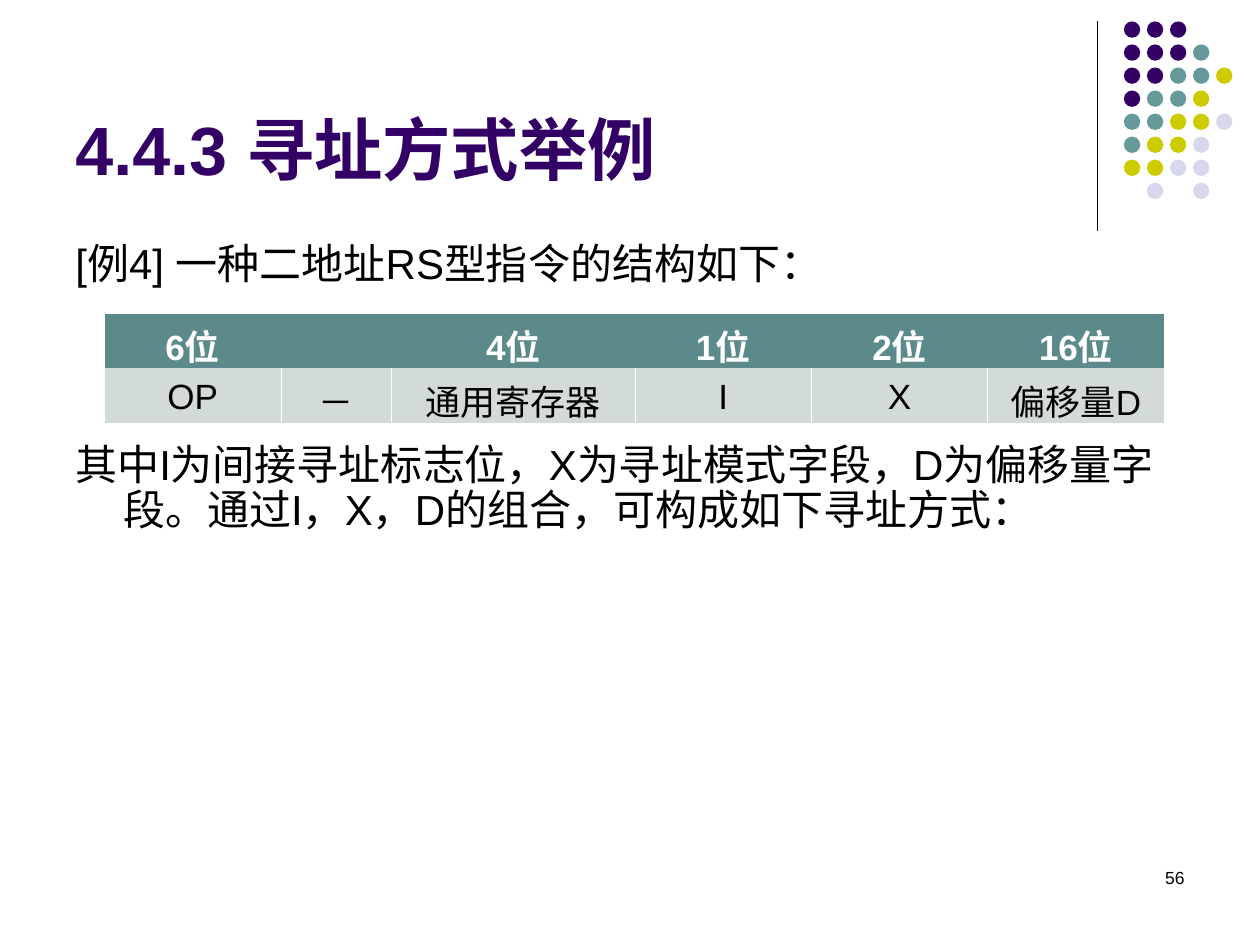
"""Build the slide on addressing mode examples."""
from lxml import etree
from pptx import Presentation, util as u
from pptx.dml.color import RGBColor
from pptx.enum import shapes, text
from pptx.oxml.ns import qn

PURPLE, TEAL, OLIVE, PALE = "330066", "669999", "CCCC00", "D8D8EC"
BLACK, WHITE = "000000", "FFFFFF"
DOT_COLOURS = {"P": PURPLE, "T": TEAL, "O": OLIVE, "L": PALE}
DOT_ROWS = ["PPP", "PPPT", "PPTTO", "PTTO", "TTOOL", "TOOL", "OOLL", " L L"]
PLAIN_TABLE = "{2D5ABB26-0587-4C30-8999-92F81FD0307C}"


def colour(value):
    return RGBColor.from_string(value)


class SlideBuilder:
    def __init__(self, page, font="Arial"):
        self.page = page
        self.font = font

    def style(self, para, size, ink, bold=False, align=None):
        para.alignment = align
        para.font.name = self.font
        para.font.size = u.Pt(size)
        para.font.bold = bold
        para.font.color.rgb = colour(ink)

    def text(self, lines, left, top, width, height, size, ink=BLACK, bold=False,
             align=None, anchor=text.MSO_ANCHOR.TOP):
        box = self.page.shapes.add_textbox(*map(u.Inches, (left, top, width, height)))
        frame = box.text_frame
        frame.word_wrap = True
        frame.vertical_anchor = anchor
        frame.text = "\n".join(lines)
        for para in frame.paragraphs:
            self.style(para, size, ink, bold, align)
        return frame.paragraphs

    def line(self, x1, y1, x2, y2, ink=BLACK, width=0.75):
        line = self.page.shapes.add_connector(
            shapes.MSO_CONNECTOR.STRAIGHT, *map(u.Inches, (x1, y1, x2, y2)))
        line.line.color.rgb = colour(ink)
        line.line.width = u.Pt(width)
        etree.SubElement(line._element.spPr, qn("a:effectLst"))

    def dot(self, left, top, size, fill):
        dot = self.page.shapes.add_shape(
            shapes.MSO_SHAPE.OVAL, *map(u.Inches, (left, top, size, size)))
        dot.shadow.inherit = False
        dot.fill.solid()
        dot.fill.fore_color.rgb = colour(fill)
        dot.line.fill.background()

    def border(self, cell, sides, ink, width):
        properties = cell._tc.get_or_add_tcPr()
        for index, side in enumerate(sides):
            edge = etree.Element(qn(f"a:ln{side}"), w=str(u.Pt(width)))
            fill = etree.SubElement(edge, qn("a:solidFill"))
            etree.SubElement(fill, qn("a:srgbClr"), val=ink)
            properties.insert(index, edge)

    def table(self, rows, left, top, widths, heights, size=20):
        frame = self.page.shapes.add_table(
            len(rows), len(widths),
            *map(u.Inches, (left, top, sum(widths), sum(heights))))
        table = frame.table
        table.horz_banding = False
        table._tbl.tblPr.find(qn("a:tableStyleId")).text = PLAIN_TABLE
        for column, width in zip(table.columns, widths):
            column.width = u.Inches(width)
        for r, (row, height) in enumerate(zip(rows, heights)):
            table.rows[r].height = u.Inches(height)
            header = r == 0
            for c, label in enumerate(row):
                cell = table.cell(r, c)
                cell.text = label
                cell.vertical_anchor = text.MSO_ANCHOR.BOTTOM
                cell.margin_left = cell.margin_right = u.Inches(0.08)
                cell.fill.solid()
                cell.fill.fore_color.rgb = colour("5C8A8A" if header else "D2DADA")
                self.style(cell.text_frame.paragraphs[0], size,
                           WHITE if header else BLACK, header, text.PP_ALIGN.CENTER)
                if not header:
                    self.border(cell, "LRB", WHITE, 0.45)


def main():
    deck = Presentation()
    deck.slide_width, deck.slide_height = u.Inches(10), u.Inches(7.5)
    builder = SlideBuilder(deck.slides.add_slide(deck.slide_layouts[6]))

    builder.line(8.71, 0.17, 8.71, 1.83)
    pitch = 1.28 / 7
    for r, row in enumerate(DOT_ROWS):
        for c, key in enumerate(row):
            if key in DOT_COLOURS:
                builder.dot(8.92 + c * pitch, 0.17 + r * pitch, 0.13, DOT_COLOURS[key])

    builder.text(["56"], 7.17, 6.83, 2.33, 0.5, 10, align=text.PP_ALIGN.RIGHT)
    builder.text(["4.4.3 寻址方式举例"], 0.5, 0.13, 8.25, 1.42, 39, PURPLE, True,
                 anchor=text.MSO_ANCHOR.BOTTOM)
    body = builder.text(
        ["[例4] 一种二地址RS型指令的结构如下：",
         "其中I为间接寻址标志位，X为寻址模式字段，D为偏移量字段。"
         "通过I，X，D的组合，可构成如下寻址方式："],
        0.5, 1.88, 9, 5.23, 24)
    for para in body:
        para.line_spacing = 0.9
        properties = para._p.get_or_add_pPr()
        properties.set("marL", str(u.Inches(0.38)))
        properties.set("indent", str(u.Inches(-0.38)))
    body[1].space_before = u.Pt(89)

    builder.table(
        [["6位", "", "4位", "1位", "2位", "16位"],
         ["OP", "－", "通用寄存器", "I", "X", "偏移量D"]],
        0.83, 2.49, [1.4, 0.88, 1.93, 1.4, 1.4, 1.4], [0.41, 0.4])
    deck.save("out.pptx")


if __name__ == "__main__":
    main()
